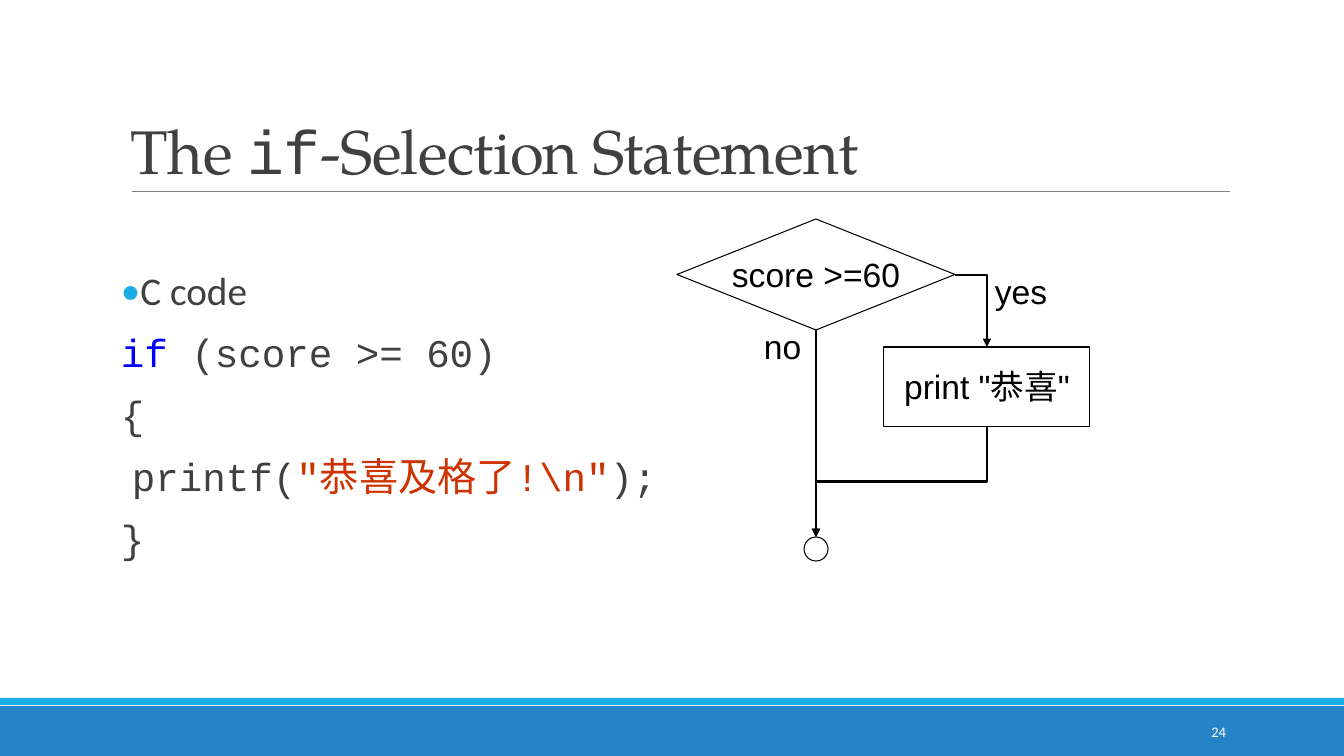
from lxml.etree import SubElement
from pptx import Presentation
from pptx.dml.color import RGBColor
from pptx.enum.shapes import MSO_CONNECTOR, MSO_SHAPE
from pptx.enum.text import MSO_ANCHOR, PP_ALIGN
from pptx.oxml.ns import qn
from pptx.util import Pt

PX = 914400 / 100.8
THEME = {
    "colors": {"ink": "000000", "text": "404040", "rule": "808080", "white": "FFFFFF",
               "band": "2683C6", "accent": "1CADE4", "keyword": "0000FF", "string": "CC3300"},
    "styles": {
        "title": ("TeX Gyre Pagella", 44, "text"),
        "title_code": ("Courier New", 44, "text"),
        "bullet": ("Calibri", 28, "text"),
        "code": ("Courier New", 28, "text"),
        "keyword": ("Courier New", 28, "keyword"),
        "string": ("Courier New", 28, "string"),
        "chart": ("Arial", 24, "ink"),
        "number": ("Calibri", 10.5, "white"),
    },
}
COLORS = {name: RGBColor.from_string(value) for name, value in THEME["colors"].items()}


def px(*lengths):
    return [round(length * PX) for length in lengths]


def write(frame, paragraphs, frame_format, paragraph_format):
    for key, value in frame_format.items():
        setattr(frame, key, value)
    for index, runs in enumerate(paragraphs):
        paragraph = frame.paragraphs[0] if index == 0 else frame.add_paragraph()
        for key, value in paragraph_format.items():
            setattr(paragraph, key, value)
        if index:
            paragraph.space_before = Pt(12)
        for words, style in runs:
            run = paragraph.add_run()
            run.text = words
            name, size, color = THEME["styles"][style]
            for key, value in {"name": name, "size": Pt(size)}.items():
                setattr(run.font, key, value)
            run.font.color.rgb = COLORS[color]


deck = Presentation()
deck.slide_width, deck.slide_height = px(1344, 756)
slide = deck.slides.add_slide(deck.slide_layouts[6])
shapes = slide.shapes

for top, height, color in [(706, 50, "band"), (698, 7, "accent")]:
    band = shapes.add_shape(MSO_SHAPE.RECTANGLE, *px(0, top, 1344, height))
    band.shadow.inherit = False
    band.fill.solid()
    band.fill.fore_color.rgb = COLORS[color]
    band.line.fill.background()

page_number = shapes.add_textbox(*px(1092, 712, 144, 40))
write(page_number.text_frame, [[("24", "number")]],
      {"word_wrap": True, "vertical_anchor": MSO_ANCHOR.MIDDLE}, {"alignment": PP_ALIGN.RIGHT})

title = shapes.add_textbox(*px(121, 31, 1109, 161))
write(title.text_frame,
      [[("The ", "title"), ("if", "title_code"), ("-Selection Statement", "title")]],
      {"word_wrap": True, "vertical_anchor": MSO_ANCHOR.BOTTOM}, {"line_spacing": 0.85})
for run in title.text_frame.paragraphs[0].runs:
    run.font._element.set("spc", "-50")

NO_MARGINS = dict.fromkeys(["margin_left", "margin_top", "margin_right", "margin_bottom"], 0)
code = shapes.add_textbox(*px(121, 272, 1109, 375))
write(code.text_frame, [
    [("C code", "bullet")],
    [("if", "keyword"), (" (score >= 60)", "code")],
    [("{", "code")],
    [("printf(", "code"), ("\"恭喜及格了!\\n\"", "string"), (");", "code")],
    [("}", "code")],
], {"word_wrap": True, **NO_MARGINS}, {"line_spacing": 0.9, "space_after": Pt(2)})

indent = px(11)[0]
heading, printf_line = (code.text_frame.paragraphs[i]._p.get_or_add_pPr() for i in (0, 3))
printf_line.set("marL", str(indent))
heading.set("marL", str(indent))
heading.set("indent", str(-indent))
bullet_color = SubElement(heading, qn("a:buClr"))
SubElement(bullet_color, qn("a:srgbClr")).set("val", THEME["colors"]["accent"])
SubElement(heading, qn("a:buFont")).set("typeface", "Calibri")
SubElement(heading, qn("a:buChar")).set("char", "•")

for kind, place, words in [
    (MSO_SHAPE.FLOWCHART_DECISION, (677, 219, 278, 111), "score >=60"),
    (MSO_SHAPE.FLOWCHART_PROCESS, (884, 347, 206, 79), "print \"恭喜\""),
    (MSO_SHAPE.FLOWCHART_CONNECTOR, (804, 537, 24, 24), ""),
]:
    step = shapes.add_shape(kind, *px(*place))
    step.shadow.inherit = False
    step.fill.background()
    step.line.color.rgb = COLORS["ink"]
    step.line.width = Pt(0.75)
    if words:
        write(step.text_frame, [[(words, "chart")]],
              {"word_wrap": False, "vertical_anchor": MSO_ANCHOR.MIDDLE},
              {"alignment": PP_ALIGN.CENTER})

for place, words in [((995, 275, 72, 33), "yes"), ((764, 330, 48, 33), "no")]:
    branch = shapes.add_textbox(*px(*place))
    write(branch.text_frame, [[(words, "chart")]],
          {"word_wrap": True, "vertical_anchor": MSO_ANCHOR.MIDDLE, **NO_MARGINS}, {})

for kind, ends, geometry, turn, color, width, arrow in [
    (MSO_CONNECTOR.STRAIGHT, (132, 191, 1230, 191), "line", 0, "rule", 0.5, False),
    (MSO_CONNECTOR.ELBOW, (955, 275, 987, 347), "bentConnector2", 0, "ink", 2, True),
    (MSO_CONNECTOR.STRAIGHT, (816, 330, 816, 537), "line", 0, "ink", 2, True),
    (MSO_CONNECTOR.ELBOW, (846, 396, 957, 567), "bentConnector3", 90, "ink", 2, True),
]:
    flow = shapes.add_connector(kind, *px(*ends))
    flow.line.color.rgb = COLORS[color]
    flow.line.width = Pt(width)
    properties = flow._element.spPr
    properties.find(qn("a:prstGeom")).set("prst", geometry)
    if turn:
        properties.find(qn("a:xfrm")).set("rot", str(turn * 60000))
    if arrow:
        SubElement(flow.line._get_or_add_ln(), qn("a:tailEnd")).set("type", "triangle")
    SubElement(properties, qn("a:effectLst"))

deck.save("out.pptx")
